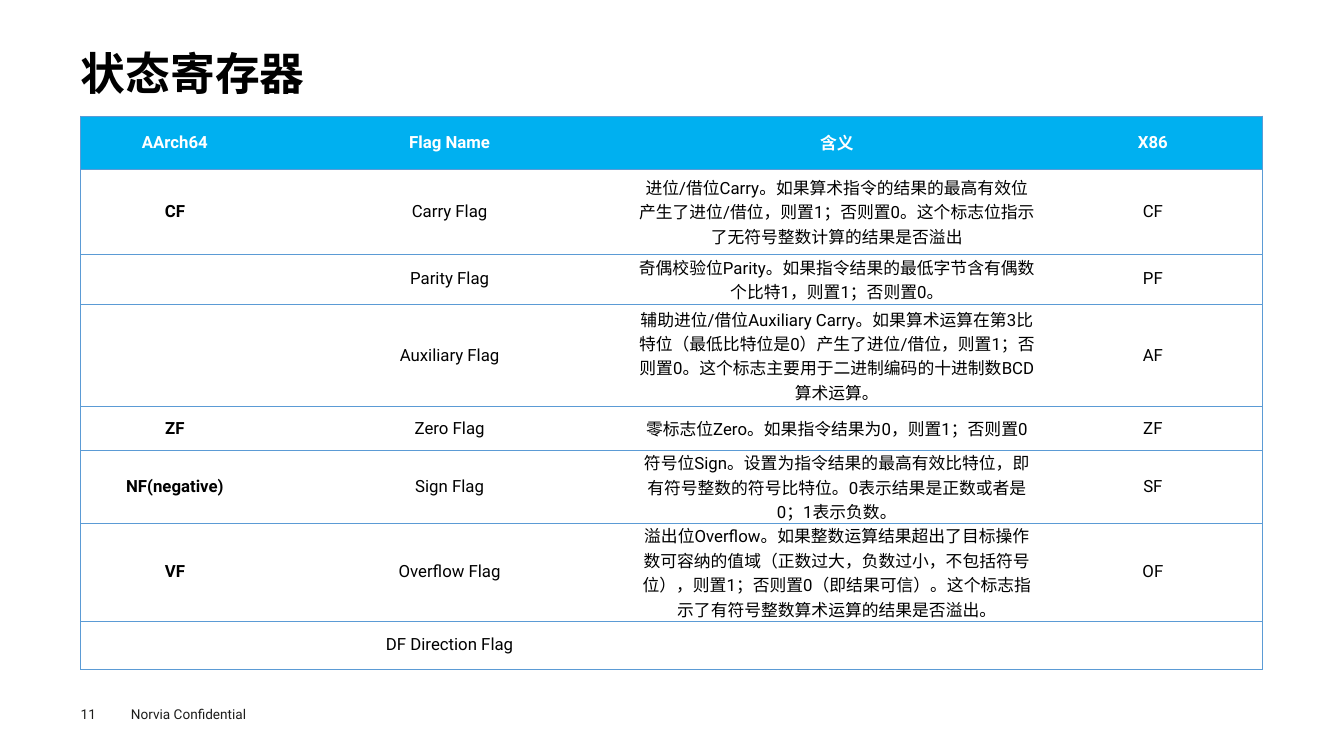
from lxml.etree import SubElement
from pptx import Presentation
from pptx.dml.color import RGBColor
from pptx.enum.lang import MSO_LANGUAGE_ID as Language
from pptx.enum.text import MSO_ANCHOR as Anchor, PP_ALIGN as Align
from pptx.oxml.ns import qn
from pptx.util import Pt

PX = 9144  # 100 px to the inch
FONT = "Roboto"
BLACK, WHITE, INK = "000000", "FFFFFF", "1D1D1B"
HEADER_BLUE, RULE_BLUE = "00B0F0", "5B9BD5"

COLUMN_WIDTHS = [187, 358, 410, 217]
ROW_HEIGHTS = [53, 84, 50, 101, 34, 67, 88, 48]
FLAGS = [
    ("AArch64", "Flag Name", "含义", "X86"),
    ("CF", "Carry Flag",
     "进位/借位Carry。如果算术指令的结果的最高有效位产生了进位/借位，则置1；否则置0。"
     "这个标志位指示了无符号整数计算的结果是否溢出", "CF"),
    ("", "Parity Flag",
     "奇偶校验位Parity。如果指令结果的最低字节含有偶数个比特1，则置1；否则置0。", "PF"),
    ("", "Auxiliary Flag",
     "辅助进位/借位Auxiliary Carry。如果算术运算在第3比特位（最低比特位是0）产生了进位/借位，"
     "则置1；否则置0。这个标志主要用于二进制编码的十进制数BCD算术运算。", "AF"),
    ("ZF", "Zero Flag", "零标志位Zero。如果指令结果为0，则置1；否则置0", "ZF"),
    ("NF(negative)", "Sign Flag",
     "符号位Sign。设置为指令结果的最高有效比特位，即有符号整数的符号比特位。"
     "0表示结果是正数或者是0；1表示负数。", "SF"),
    ("VF", "Overflow Flag",
     "溢出位Overflow。如果整数运算结果超出了目标操作数可容纳的值域"
     "（正数过大，负数过小，不包括符号位），则置1；否则置0（即结果可信）。"
     "这个标志指示了有符号整数算术运算的结果是否溢出。", "OF"),
    ("", "DF Direction Flag", "", ""),
]


def color(value):
    return RGBColor.from_string(value)


def emu(*lengths):
    return [length * PX for length in lengths]


def write(frame, text, size, ink, bold=False, align=Align.LEFT):
    para = frame.paragraphs[0]
    para.text = text
    para.alignment = align
    font = para.font
    font.name, font.size, font.bold = FONT, Pt(size), bold
    font.color.rgb = color(ink)
    for span in para.runs:
        span.font.language_id = Language.SIMPLIFIED_CHINESE
    return para


def clear_margins(frame):
    frame.margin_left = frame.margin_right = 0
    frame.margin_top = frame.margin_bottom = 0


def add_title(page, box, text):
    title = page.shapes.title
    title.left, title.top, title.width, title.height = emu(*box)
    frame = title.text_frame
    clear_margins(frame)
    frame.vertical_anchor = Anchor.MIDDLE
    write(frame, text, 32, BLACK, bold=True).line_spacing = 0.9


def set_borders(cell, sides):
    """Rule the named sides of a cell and leave the others open."""
    properties = cell._tc.get_or_add_tcPr()
    for side in "LRTB":
        line = SubElement(properties, qn(f"a:ln{side}"), w=str(Pt(0.5)))
        if side in sides:
            fill = SubElement(line, qn("a:solidFill"))
            SubElement(fill, qn("a:srgbClr"), val=RULE_BLUE)
        else:
            SubElement(line, qn("a:noFill"))


def format_cell(cell, text, row, column):
    first, last = column == 0, column == len(COLUMN_WIDTHS) - 1
    header = row == 0
    cell.vertical_anchor = Anchor.MIDDLE
    cell.margin_left, cell.margin_right = emu(7, 7)
    cell.margin_top = cell.margin_bottom = 0
    set_borders(cell, "TB" + "L" * first + "R" * last)
    if header:
        cell.fill.solid()
        cell.fill.fore_color.rgb = color(HEADER_BLUE)
    else:
        cell.fill.background()
    write(cell.text_frame, text, 12, WHITE if header else BLACK,
          bold=header or first, align=Align.CENTER)


def add_flag_table(page, left, top):
    width, height = sum(COLUMN_WIDTHS), sum(ROW_HEIGHTS)
    table = page.shapes.add_table(len(FLAGS), len(COLUMN_WIDTHS),
                                  *emu(left, top, width, height)).table
    table.horz_banding = False
    for column, length in zip(table.columns, COLUMN_WIDTHS):
        column.width = length * PX
    for row, length in zip(table.rows, ROW_HEIGHTS):
        row.height = length * PX
    for row, texts in enumerate(FLAGS):
        for column, text in enumerate(texts):
            format_cell(table.cell(row, column), text, row, column)


def add_footer(page, left, top):
    number = page.shapes.add_textbox(*emu(left, top + 5, 55, 16)).text_frame
    clear_margins(number)
    notice = page.shapes.add_textbox(*emu(left + 40, top, 160, 27)).text_frame
    for frame, text in ((number, "11"), (notice, "Norvia Confidential")):
        frame.word_wrap = True
        write(frame, text, 9.7, INK)


def main():
    deck = Presentation()
    deck.slide_width, deck.slide_height = emu(1333, 750)
    page = deck.slides.add_slide(deck.slide_layouts[5])
    add_title(page, (80, 49, 1173, 53), "状态寄存器")
    add_flag_table(page, 80, 115)
    add_footer(page, 80, 695)
    deck.save("out.pptx")


if __name__ == "__main__":
    main()
